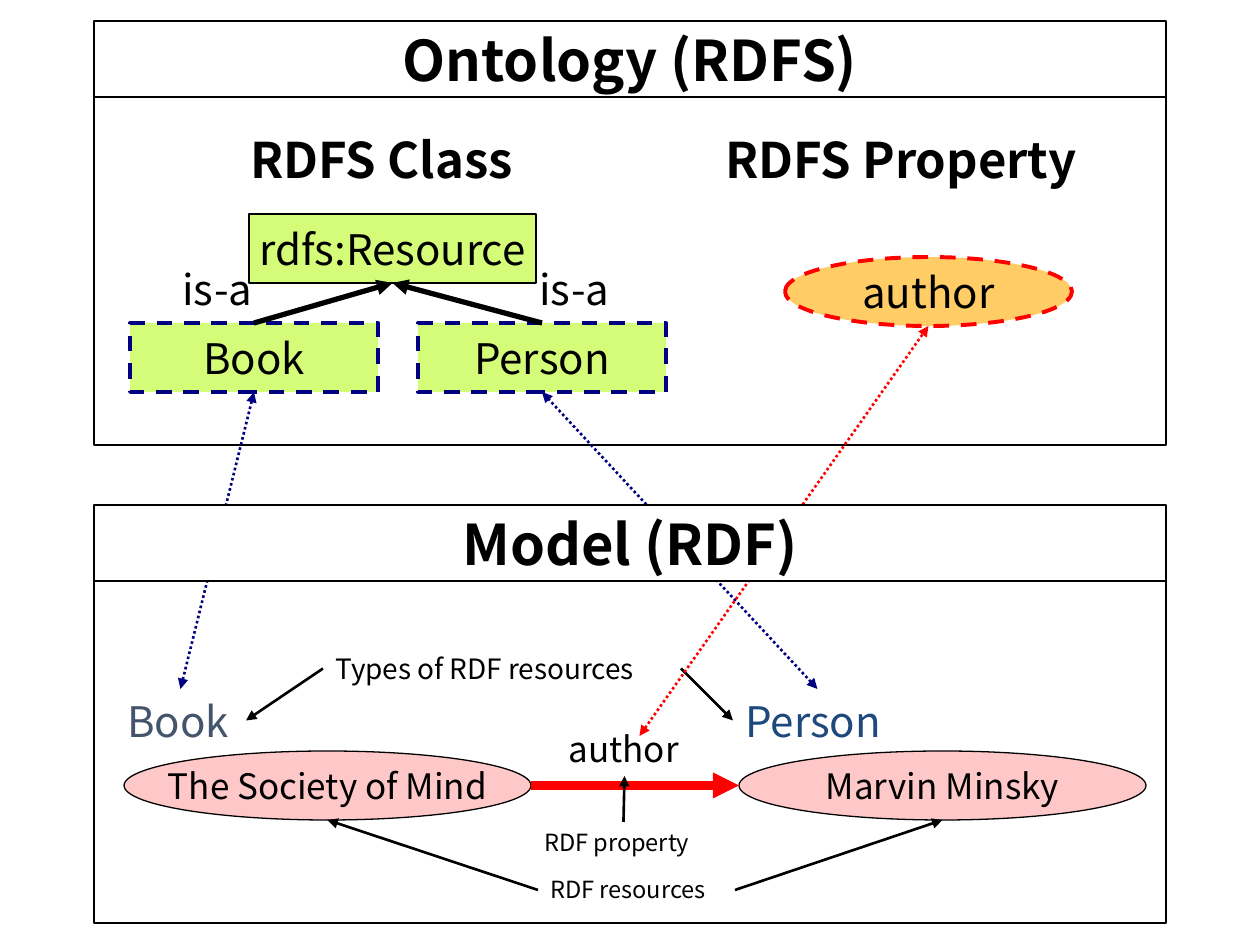
import lxml.etree
import pptx
import pptx.dml.color
import pptx.enum.dml
import pptx.enum.shapes
import pptx.enum.text
import pptx.oxml.ns
import pptx.util

EMU_PER_PX = 914400 / 126
FONT = "Noto Sans CJK JP"
BLACK, WHITE, RED, NAVY = "000000", "FFFFFF", "FF0000", "000080"
GREEN, ORANGE, PINK = "D5FC79", "FFCC66", "FFC8C8"
TOP, LEFT, BOTTOM, RIGHT = range(4)
RECTANGLE = pptx.enum.shapes.MSO_SHAPE.RECTANGLE
ELLIPSE = pptx.enum.shapes.MSO_SHAPE.OVAL
DASH = pptx.enum.dml.MSO_LINE.DASH
DOTS = pptx.enum.dml.MSO_LINE.ROUND_DOT
CENTER = pptx.enum.text.PP_ALIGN.CENTER

PANEL_LEFT, PANEL_WIDTH, HEADER_HEIGHT, NODE_HEIGHT = 94, 1072, 76, 69


def px(length):
    return pptx.util.Emu(round(length * EMU_PER_PX))


def color(value):
    return pptx.dml.color.RGBColor.from_string(value)


def style_line(line, value, width, dash=None):
    line.color.rgb = color(value)
    line.width = pptx.util.Pt(width)
    if dash is not None:
        line.dash_style = dash


def write(shape, text, size=24, ink=BLACK, bold=False, align=None):
    frame = shape.text_frame
    frame.word_wrap = False
    paragraph = frame.paragraphs[0]
    paragraph.alignment = align
    run = paragraph.add_run()
    run.text = text
    run.font.name = FONT
    run.font.size = pptx.util.Pt(size)
    run.font.bold = bold
    run.font.color.rgb = color(ink)


def add_label(slide, left, top, width, height, text, **text_format):
    box = slide.shapes.add_textbox(px(left), px(top), px(width), px(height))
    write(box, text, **text_format)
    box.text_frame.auto_size = pptx.enum.text.MSO_AUTO_SIZE.SHAPE_TO_FIT_TEXT
    return box


def add_node(slide, kind, left, top, width, height, text="", fill=WHITE,
             line=BLACK, line_width=0.75, dash=None, **text_format):
    node = slide.shapes.add_shape(kind, px(left), px(top), px(width), px(height))
    node.shadow.inherit = False
    node.fill.solid()
    node.fill.fore_color.rgb = color(fill)
    style_line(node.line, line, line_width, dash)
    if text:
        write(node, text, align=CENTER, **text_format)
        node.text_frame.vertical_anchor = pptx.enum.text.MSO_ANCHOR.MIDDLE
    return node


def side_middle(shape, side):
    """Middle of one side of a shape, in px."""
    across, down = {TOP: (0.5, 0), LEFT: (0, 0.5), BOTTOM: (0.5, 1), RIGHT: (1, 0.5)}[side]
    return ((shape.left + shape.width * across) / EMU_PER_PX,
            (shape.top + shape.height * down) / EMU_PER_PX)


def add_arrow(slide, start, end, line=BLACK, width=1.5, dash=None, double=False):
    """Each end is a point in px, or a (rectangle, side) pair to be joined."""
    joins = [not isinstance(place[0], (int, float)) for place in (start, end)]
    points = [side_middle(*place) if joined else place
              for place, joined in zip((start, end), joins)]
    arrow = slide.shapes.add_connector(
        pptx.enum.shapes.MSO_CONNECTOR.STRAIGHT,
        *(px(value) for point in points for value in point))
    if joins[0]:
        arrow.begin_connect(*start)
    if joins[1]:
        arrow.end_connect(*end)
    style_line(arrow.line, line, width, dash)
    properties = arrow._element.spPr
    for tag in ("a:headEnd", "a:tailEnd") if double else ("a:tailEnd",):
        lxml.etree.SubElement(properties.get_or_add_ln(), pptx.oxml.ns.qn(tag),
                              type="triangle")
    lxml.etree.SubElement(properties, pptx.oxml.ns.qn("a:effectLst"))


def add_header(slide, left, top, width, text):
    add_node(slide, RECTANGLE, left, top, width, HEADER_HEIGHT, text,
             line_width=1.5, size=32, bold=True)


def add_panel_body(slide, left, top, width, height):
    add_node(slide, RECTANGLE, left, top + HEADER_HEIGHT, width,
             height - HEADER_HEIGHT, line_width=1.5)


def add_ontology(slide, left, top, width, height):
    """Classes and property of the schema; returns those the model refers to."""
    add_panel_body(slide, left, top, width, height)
    add_header(slide, left, top, width, "Ontology (RDFS)")
    for x, label_width, text in ((144, 304, "RDFS Class"), (619, 384, "RDFS Property")):
        add_label(slide, left + x, top + 102, label_width, 72, text, size=28, bold=True)

    resource = add_node(slide, RECTANGLE, left + 155, top + 193, 287, NODE_HEIGHT,
                        "rdfs:Resource", fill=GREEN)
    classes = []
    for x, label_x, text in ((36, 76, "Book"), (324, 433, "Person")):
        node = add_node(slide, RECTANGLE, left + x, top + 302, 248, NODE_HEIGHT, text,
                        fill=GREEN, line=NAVY, line_width=2.25, dash=DASH)
        add_arrow(slide, (node, TOP), (resource, BOTTOM), width=3)
        add_label(slide, left + label_x, top + 236, 96, 63, "is-a")
        classes.append(node)

    author = add_node(slide, ELLIPSE, left + 691, top + 236, 287, NODE_HEIGHT, "author",
                      fill=ORANGE, line=RED, line_width=2.25, dash=DASH)
    return classes, author


def add_model(slide, left, top, width, height):
    """Resources and their relation; returns type labels and the author label."""
    add_panel_body(slide, left, top, width, height)
    book, mind = [
        add_node(slide, ELLIPSE, left + x, top + 246, 407, NODE_HEIGHT, text,
                 fill=PINK, size=20)
        for x, text in ((30, "The Society of Mind"), (645, "Marvin Minsky"))]
    add_arrow(slide, side_middle(book, RIGHT), side_middle(mind, LEFT), line=RED, width=5)

    types = [
        add_label(slide, left + x, top + 184, label_width, 63, text, ink=ink)
        for x, label_width, text, ink in ((21, 131, "Book", "44546A"),
                                          (639, 169, "Person", "1F497D"))]
    author = add_label(slide, left + 462, top + 216, 137, 55, "author", size=20)

    note = add_label(slide, left + 229, top + 140, 358, 47, "Types of RDF resources", size=16)
    add_arrow(slide, (note, LEFT), (types[0], RIGHT))
    add_arrow(slide, (note, RIGHT), (types[1], LEFT))

    note = add_label(slide, left + 444, top + 364, 197, 42, "RDF resources", size=13.5)
    add_arrow(slide, (note, LEFT), side_middle(book, BOTTOM))
    add_arrow(slide, (note, RIGHT), side_middle(mind, BOTTOM))

    note = add_label(slide, left + 438, top + 317, 183, 42, "RDF property", size=13.5)
    add_arrow(slide, (note, TOP), (author, BOTTOM))
    return types, author


def add_links(slide, classes, class_author, types, model_author):
    """Dotted arrows from the model to the ontology."""
    for label, node in zip(types, classes):
        add_arrow(slide, (label, TOP), (node, BOTTOM), line=NAVY, dash=DOTS, double=True)
    x, y = side_middle(model_author, TOP)
    add_arrow(slide, (x + 15, y + 15), side_middle(class_author, BOTTOM),
              line=RED, dash=DOTS, double=True)


def main():
    presentation = pptx.Presentation()
    presentation.slide_width, presentation.slide_height = px(1260), px(945)
    slide = presentation.slides.add_slide(presentation.slide_layouts[6])

    classes, class_author = add_ontology(slide, PANEL_LEFT, 21, PANEL_WIDTH, 424)
    types, model_author = add_model(slide, PANEL_LEFT, 505, PANEL_WIDTH, 418)
    add_links(slide, classes, class_author, types, model_author)
    # The header comes last because it covers the links
    add_header(slide, PANEL_LEFT, 505, PANEL_WIDTH, "Model (RDF)")
    presentation.save("out.pptx")


if __name__ == "__main__":
    main()
